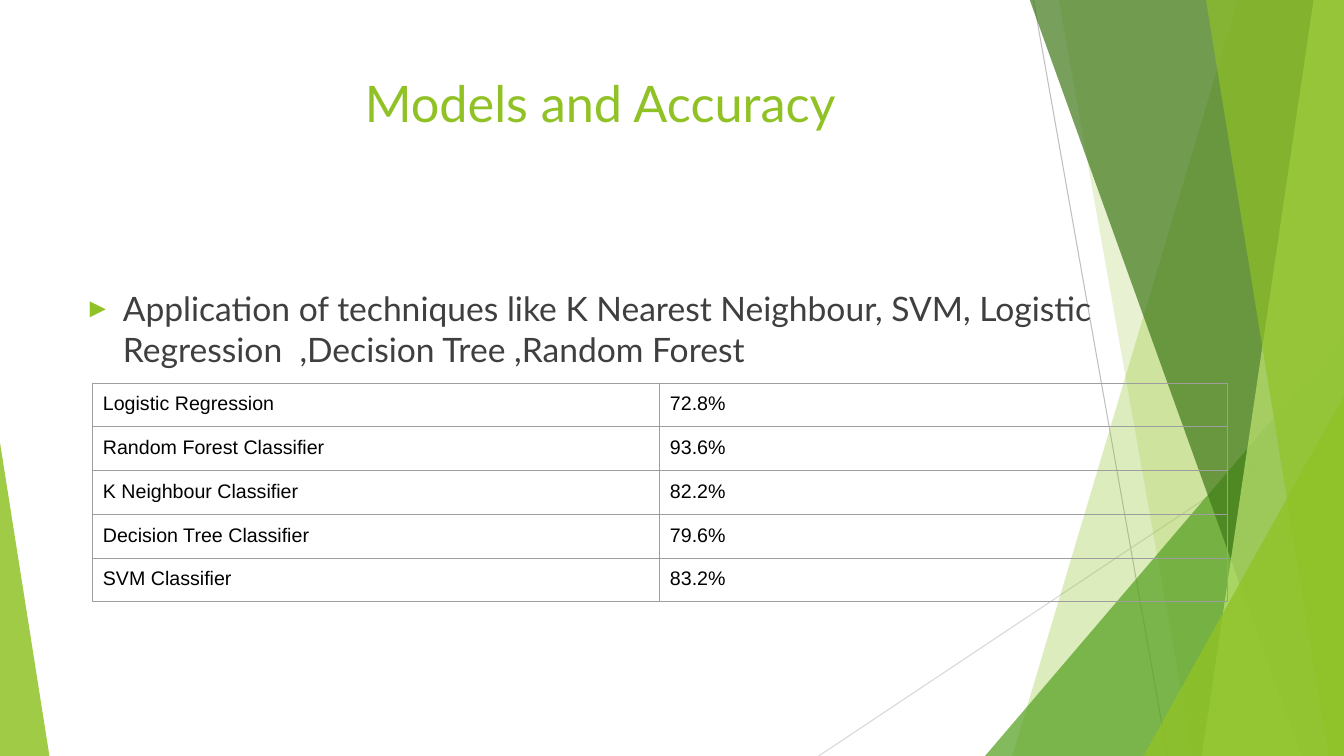
from lxml import etree
from pptx import Presentation
from pptx.dml.color import RGBColor
from pptx.enum import shapes, text
from pptx.oxml import ns
from pptx.util import Inches, Pt

WIDTH, HEIGHT = 13.33, 7.5
TOP = -0.01
LIME = RGBColor(0x90, 0xC2, 0x26)
PALE_LIME = RGBColor(0xBF, 0xE4, 0x71)
GREEN = RGBColor(0x54, 0xA0, 0x21)
DARK_GREEN = RGBColor(0x3F, 0x78, 0x18)
MID_GRAY = RGBColor(0xBF, 0xBF, 0xBF)
LIGHT_GRAY = RGBColor(0xD8, 0xD8, 0xD8)
BORDER_GRAY = RGBColor(0x9E, 0x9E, 0x9E)
CHARCOAL = RGBColor(0x3F, 0x3F, 0x3F)
BLACK = RGBColor(0, 0, 0)

ACCURACIES = [
    ("Logistic Regression", "72.8%"),
    ("Random Forest Classifier", "93.6%"),
    ("K Neighbour Classifier", "82.2%"),
    ("Decision Tree Classifier", "79.6%"),
    ("SVM Classifier", "83.2%"),
]


def add_child(parent, tag, **attributes):
    """Append a DrawingML element and return it."""
    child = etree.SubElement(parent, ns.qn(tag))
    for key, value in attributes.items():
        child.set(key, str(value))
    return child


def write(frame, wording, size, color, font="Lato", insets=(0.1, 0.05, 0.1, 0.05),
          margin=0, indent=0, bullet=None):
    """Fill a text frame or cell frame with one formatted paragraph."""
    frame.word_wrap = True
    frame.margin_left, frame.margin_top, frame.margin_right, frame.margin_bottom = map(Inches, insets)
    paragraph = frame.paragraphs[0]
    run = paragraph.add_run()
    run.text = wording
    run.font.size, run.font.name = Pt(size), font
    run.font.color.rgb = color
    properties = paragraph._p.get_or_add_pPr()
    properties.set("marL", str(Inches(margin)))
    properties.set("indent", str(Inches(indent)))
    if bullet:
        add_child(add_child(properties, "a:buClr"), "a:srgbClr", val=LIME)
        add_child(properties, "a:buSzPct", val=80000)
        add_child(properties, "a:buFont", typeface="Arial")
        add_child(properties, "a:buChar", char=bullet)


def paint(facet, color, opacity):
    """Give a facet a translucent fill without outline or shadow."""
    facet.shadow.inherit = False
    facet.line.fill.background()
    facet.fill.solid()
    facet.fill.fore_color.rgb = color
    solid = facet._element.spPr.find(ns.qn("a:solidFill"))
    add_child(solid[0], "a:alpha", val=opacity * 1000)


def add_ray(slide, start, end, color):
    """Draw a thin straight ray."""
    ray = slide.shapes.add_connector(
        shapes.MSO_CONNECTOR.STRAIGHT, *map(Inches, start + end))
    ray.line.color.rgb = color
    ray.line.width = Pt(0.75)
    add_child(ray._element.spPr, "a:effectLst")


def add_band(slide, top_left, bottom_left, color, opacity):
    """Draw a band from a slanted left side to the right slide edge."""
    outline = slide.shapes.build_freeform(Inches(top_left), Inches(TOP), scale=1.0)
    corners = [(WIDTH, TOP), (WIDTH, HEIGHT), (bottom_left, HEIGHT)]
    outline.add_line_segments([(Inches(x), Inches(y)) for x, y in corners], close=True)
    paint(outline.convert_to_shape(), color, opacity)


def add_wedge(slide, box, apex, color, opacity):
    """Draw a right triangle with its apex at the left (0) or right (1)."""
    wedge = slide.shapes.add_shape(
        shapes.MSO_SHAPE.ISOSCELES_TRIANGLE, *map(Inches, box))
    wedge.adjustments[0] = apex
    paint(wedge, color, opacity)


def add_backdrop(slide):
    """Layer the rays and green facets along the slide edges."""
    add_ray(slide, (10.25, 0), (11.58, HEIGHT), MID_GRAY)
    add_ray(slide, (WIDTH, 4.03), (8.12, HEIGHT), LIGHT_GRAY)
    add_band(slide, 12.28, 10.04, LIME, 30)
    add_band(slide, 10.5, 11.83, LIME, 20)
    add_wedge(slide, (9.77, 3.33, 3.56, 4.17), 1, GREEN, 72)
    add_band(slide, 10.21, 12.91, DARK_GREEN, 70)
    add_band(slide, 13.03, 11.92, PALE_LIME, 70)
    add_band(slide, 11.96, 13.18, LIME, 65)
    add_wedge(slide, (11.34, 3.93, 1.99, 3.57), 1, LIME, 80)
    add_wedge(slide, (0, 4.39, 0.49, 3.11), 0, LIME, 85)


def add_title(slide, box):
    """Write the slide title."""
    title = slide.shapes.add_textbox(*map(Inches, box))
    write(title.text_frame, "Models and Accuracy", 36, LIME, margin=2.78)


def add_summary(slide, box):
    """Write the bulleted list of techniques."""
    summary = slide.shapes.add_textbox(*map(Inches, box))
    write(summary.text_frame,
          "Application of techniques like K Nearest Neighbour, SVM, Logistic "
          "Regression  ,Decision Tree\u00a0,Random\u00a0Forest".replace("\u00a0", chr(160)),
          24, CHARCOAL, insets=(0.1, 0.5, 1, 0.05), margin=0.38, indent=-0.42, bullet="►")


def add_borders(cell):
    """Outline all four sides of a table cell."""
    properties = cell._tc.get_or_add_tcPr()
    for position, side in enumerate(("a:lnL", "a:lnR", "a:lnT", "a:lnB")):
        border = add_child(properties, side, w=Pt(0.75))
        add_child(add_child(border, "a:solidFill"), "a:srgbClr", val=BORDER_GRAY)
        properties.insert(position, border)


def add_accuracy_table(slide, box):
    """Tabulate the accuracy of each classifier."""
    table = slide.shapes.add_table(len(ACCURACIES), 2, *map(Inches, box)).table
    table.first_row = table.horz_banding = False
    for row, record in enumerate(ACCURACIES):
        for column, wording in enumerate(record):
            cell = table.cell(row, column)
            cell.fill.background()
            write(cell.text_frame, wording, 14, BLACK, font="Arial")
            cell.margin_left = cell.margin_right = Inches(0.1)
            cell.margin_top = cell.margin_bottom = Inches(0.1)
            cell.vertical_anchor = text.MSO_ANCHOR.TOP
            add_borders(cell)


def main():
    """Build and save the slide."""
    deck = Presentation()
    deck.slide_width, deck.slide_height = Inches(WIDTH), Inches(HEIGHT)
    slide = deck.slides.add_slide(deck.slide_layouts[6])
    add_backdrop(slide)
    add_title(slide, (0.74, 0.67, 9.4, 1.44))
    add_summary(slide, (0.74, 2.36, 12.22, 4.24))
    add_accuracy_table(slide, (0.92, 3.8, 11.25, 2.1))
    deck.save("out.pptx")


if __name__ == "__main__":
    main()
